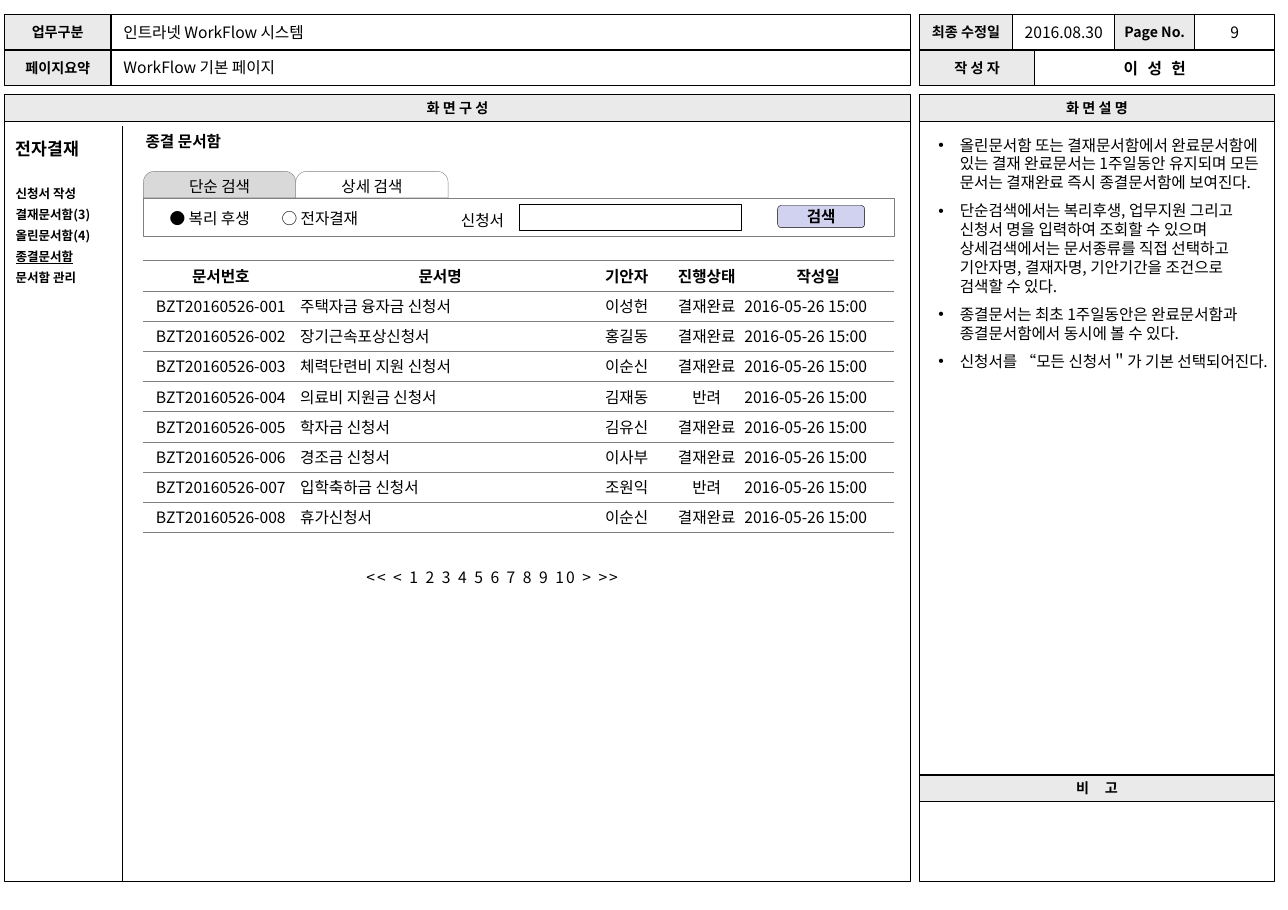
from lxml import etree
from pptx import Presentation
from pptx.dml.color import RGBColor
from pptx.enum.shapes import MSO_CONNECTOR, MSO_SHAPE
from pptx.enum.text import MSO_ANCHOR, MSO_AUTO_SIZE, PP_ALIGN
from pptx.oxml.ns import qn
from pptx.util import Cm, Pt

BLACK = RGBColor(0x00, 0x00, 0x00)
LABEL_GRAY = RGBColor(0xEA, 0xEA, 0xEA)
TAB_GRAY = RGBColor(0xD9, 0xD9, 0xD9)
RULE_GRAY = RGBColor(0x80, 0x80, 0x80)
LAVENDER = RGBColor(0xD1, 0xD1, 0xF0)
FONT = "Noto Sans CJK KR"
NO_STYLE = "{2D5ABB26-0587-4C30-8999-92F81FD0307C}"
LEFT, CENTER = PP_ALIGN.LEFT, PP_ALIGN.CENTER
TOP, MIDDLE = MSO_ANCHOR.TOP, MSO_ANCHOR.MIDDLE
NO_FIT = MSO_AUTO_SIZE.NONE
RECT, ROUND = MSO_SHAPE.RECTANGLE, MSO_SHAPE.ROUNDED_RECTANGLE
TAB = MSO_SHAPE.ROUND_2_SAME_RECTANGLE
STRAIGHT = MSO_CONNECTOR.STRAIGHT

HEADINGS = ["문서번호", "문서명", "기안자", "진행상태", "작성일"]
DOCUMENTS = [
    ("주택자금 융자금 신청서", "이성헌", "결재완료"),
    ("장기근속포상신청서", "홍길동", "결재완료"),
    ("체력단련비 지원 신청서", "이순신", "결재완료"),
    ("의료비 지원금 신청서", "김재동", "반려"),
    ("학자금 신청서", "김유신", "결재완료"),
    ("경조금 신청서", "이사부", "결재완료"),
    ("입학축하금 신청서", "조원익", "반려"),
    ("휴가신청서", "이순신", "결재완료"),
]
MENU = ["신청서 작성", "결재문서함(3)", "올린문서함(4)", "종결문서함", "문서함 관리"]
NOTES = [
    "올린문서함 또는 결재문서함에서 완료문서함에 있는 결재 완료문서는 1주일동안 유지되며 "
    "모든 문서는 결재완료 즉시 종결문서함에 보여진다.",
    "단순검색에서는 복리후생, 업무지원 그리고 신청서 명을 입력하여 조회할 수 있으며 "
    "상세검색에서는 문서종류를 직접 선택하고 기안자명, 결재자명, 기안기간을 조건으로 검색할 수 있다.",
    "종결문서는 최초 1주일동안은 완료문서함과 종결문서함에서 동시에 볼 수 있다.",
    "신청서를 “모든 신청서＂가 기본 선택되어진다.",
]


def write(p, text, size=10, bold=False, underline=False, align=LEFT, spread=0):
    """Add one formatted run to a paragraph; spread is letter spacing in points."""
    p.alignment = align
    r = p.add_run()
    r.text = text
    font = {"size": Pt(size), "bold": bold, "underline": underline, "name": FONT}
    for key, value in font.items():
        setattr(r.font, key, value)
    r.font.color.rgb = BLACK
    rPr = r.font._element
    etree.SubElement(rPr, qn("a:ea"), typeface=FONT)
    if spread:
        rPr.set("spc", str(round(spread * 100)))


def frame(tf, mx=0.25, my=0.13, anchor=TOP, wrap=True):
    """Set the margins, anchor and wrapping of a text frame."""
    values = {"margin_left": Cm(mx), "margin_right": Cm(mx), "margin_top": Cm(my),
              "margin_bottom": Cm(my), "vertical_anchor": anchor,
              "word_wrap": wrap, "auto_size": NO_FIT}
    for key, value in values.items():
        setattr(tf, key, value)


def box(s, x, y, w, h, text="", fill=None, line=BLACK, weight=0.75, kind=RECT, **fmt):
    """Draw an outlined shape with optional centred text."""
    sp = s.shapes.add_shape(kind, Cm(x), Cm(y), Cm(w), Cm(h))
    sp.shadow.inherit = False
    sp.line.color.rgb = line
    sp.line.width = Pt(weight)
    if fill is None:
        sp.fill.background()
    else:
        sp.fill.solid()
        sp.fill.fore_color.rgb = fill
    if text:
        frame(sp.text_frame, 0.05, 0, MIDDLE, False)
        write(sp.text_frame.paragraphs[0], text, align=CENTER, **fmt)
    return sp


def label(s, x, y, w, h, text, spread=0):
    """Draw a gray heading cell."""
    box(s, x, y, w, h, text, LABEL_GRAY, size=9, bold=True, spread=spread)


def note(s, x, y, w, h, text, mx=0.25, my=0.13, anchor=TOP, wrap=True, leading=1.0, **fmt):
    """Place a one-paragraph text box."""
    tf = s.shapes.add_textbox(Cm(x), Cm(y), Cm(w), Cm(h)).text_frame
    frame(tf, mx, my, anchor, wrap)
    tf.paragraphs[0].line_spacing = leading
    write(tf.paragraphs[0], text, **fmt)


def place(sp, x, y, w, h):
    """Move a placeholder to a box."""
    for key, value in zip(("left", "top", "width", "height"), (x, y, w, h)):
        setattr(sp, key, Cm(value))


def page_header(s, x, y, w, row):
    """Draw the subject rows with the slide title in the second one."""
    for i, name in enumerate(("업무구분", "페이지요약")):
        label(s, x, y + i * row, 2.4, row, name)
        box(s, x + 2.4, y + i * row, w - 2.4, row)
    note(s, x + 2.4, y + 0.05, 9, 0.7, "인트라넷 WorkFlow 시스템", mx=0.28)
    title = s.shapes.title
    place(title, x + 2.4, y + row + 0.05, 9, 0.7)
    frame(title.text_frame, 0.28)
    write(title.text_frame.paragraphs[0], "WorkFlow 기본 페이지")


def page_facts(s, x, y, w, row):
    """Draw the date, page number and author cells."""
    label(s, x, y, 2.1, row, "최종 수정일")
    box(s, x + 2.1, y, 2.3, row, "2016.08.30")
    label(s, x + 4.4, y, 1.8, row, "Page No.")
    box(s, x + 6.2, y, w - 6.2, row, "9")
    label(s, x, y + row, 2.6, row, "작 성 자")
    box(s, x + 2.6, y + row, w - 2.6, row, "이 성 헌", bold=True, spread=1.9)


def side_menu(s, x, y, w, h):
    """Write the menu and the rule at its right."""
    tf = s.shapes.add_textbox(Cm(x), Cm(y), Cm(w - 0.33), Cm(3.8)).text_frame
    frame(tf, wrap=False)
    p = tf.paragraphs[0]
    write(p, "전자결재", size=11, bold=True)
    p.line_spacing, p.space_after = 1.4, Pt(13.4)
    for item in MENU:
        p = tf.add_paragraph()
        p.line_spacing = 1.4
        write(p, item, size=8, bold=True, underline=item == "종결문서함")
    rule = s.shapes.add_connector(STRAIGHT, Cm(x + w), Cm(y + 0.05), Cm(x + w), Cm(y + h))
    rule.line.color.rgb = BLACK
    rule.line.width = Pt(0.75)
    etree.SubElement(rule._element.spPr, qn("a:effectLst"))


def search_bar(s, x, y, w):
    """Draw the two tabs and the search fields below them."""
    for i, (text, fill) in enumerate((("단순 검색", TAB_GRAY), ("상세 검색", None))):
        sp = box(s, x + i * 3.43, y, 3.43, 0.6, text, fill, RULE_GRAY, 0.25, TAB)
        sp.adjustments[0] = 0.41
    box(s, x, y + 0.6, w, 0.86, line=RULE_GRAY, weight=0.25)
    for i, text in enumerate(("● 복리 후생", "○ 전자결재")):
        note(s, x + 0.54 + i * 2.52, y + 0.79, 2.4, 0.53, text, 0.05, 0.05)
    note(s, x + 6.9, y + 0.6, 2.74, 0.86, "신청서", leading=1.4)
    box(s, x + 8.47, y + 0.75, 4.98, 0.58, weight=0.25)
    box(s, x + 14.28, y + 0.77, 1.96, 0.5, "검색", LAVENDER, weight=0.25, kind=ROUND, bold=True)


def rule_cell(cell):
    """Give a cell thin gray rules above and below."""
    cell.fill.background()
    tcPr = cell._tc.get_or_add_tcPr()
    for i, side in enumerate(("a:lnT", "a:lnB")):
        ln = etree.Element(qn(side), w=str(Pt(0.25)))
        fill = etree.SubElement(ln, qn("a:solidFill"))
        etree.SubElement(fill, qn("a:srgbClr"), val=str(RULE_GRAY))
        tcPr.insert(i, ln)


def document_table(s, x, y, widths, row):
    """Build the list of closed documents."""
    rows = [HEADINGS] + [
        (f"BZT20160526-{n:03}", *doc, "2016-05-26 15:00") for n, doc in enumerate(DOCUMENTS, 1)]
    table = s.shapes.add_table(len(rows), len(widths), Cm(x), Cm(y),
                               Cm(sum(widths)), Cm(row * len(rows))).table
    table.first_row = table.horz_banding = False
    table._tbl.tblPr.find(qn("a:tableStyleId")).text = NO_STYLE
    for col, width in zip(table.columns, widths):
        col.width = Cm(width)
    for i, texts in enumerate(rows):
        table.rows[i].height = Cm(row)
        for j, text in enumerate(texts):
            cell = table.cell(i, j)
            cell.vertical_anchor = MIDDLE
            for side in ("left", "right", "top", "bottom"):
                setattr(cell, f"margin_{side}", Cm(0.05))
            align = LEFT if i and j in (1, 4) else CENTER
            write(cell.text_frame.paragraphs[0], text, bold=i == 0, align=align)
            rule_cell(cell)


def screen_panel(s, x, y, w, h):
    """Lay out the screen mock-up."""
    label(s, x, y, w, 0.6, "화 면 구 성")
    box(s, x, y + 0.6, w, h - 0.6)
    side_menu(s, x, y + 0.66, 2.65, h - 0.66)
    note(s, x + 2.93, y + 0.71, 2.4, 0.69, "종결 문서함", wrap=False, bold=True)
    search_bar(s, x + 3.13, y + 1.73, 16.9)
    document_table(s, x + 3.13, y + 3.74, (3.48, 6.4, 2, 1.6, 3.42), 0.68)
    note(s, x + 7.9, y + 10.37, 7.9, 0.86, "<< < 1 2 3 4 5 6 7 8 9 10 > >>",
         leading=1.4, spread=1.3)


def description_panel(s, x, y, w, h):
    """Lay out the explanations and the remarks box."""
    label(s, x, y, w, 0.6, "화 면 설 명")
    box(s, x, y + 0.6, w, h - 3)
    label(s, x, y + h - 2.4, w, 0.6, "비 고", spread=4)
    box(s, x, y + h - 1.8, w, 1.8)
    body = s.placeholders[1]
    place(body, x + 0.43, y + 0.92, 7.45, 6.2)
    tf = body.text_frame
    frame(tf, 0, 0)
    for i, text in enumerate(NOTES):
        p = tf.paragraphs[0] if i == 0 else tf.add_paragraph()
        p.space_before = Pt(6)
        write(p, text)
        pPr = p._p.get_or_add_pPr()
        pPr.set("marL", str(Cm(0.48)))
        pPr.set("indent", str(Cm(-0.48)))
        etree.SubElement(pPr, qn("a:buChar"), char="•")


def main():
    """Build the slide and save it."""
    prs = Presentation()
    prs.slide_width, prs.slide_height = Cm(29), Cm(20.5)
    s = prs.slides.add_slide(prs.slide_layouts[1])
    page_header(s, 0.1, 0.33, 20.4, 0.8)
    page_facts(s, 20.7, 0.33, 8, 0.8)
    screen_panel(s, 0.1, 2.13, 20.4, 17.73)
    description_panel(s, 20.7, 2.13, 8, 17.73)
    prs.save("out.pptx")


if __name__ == "__main__":
    main()
